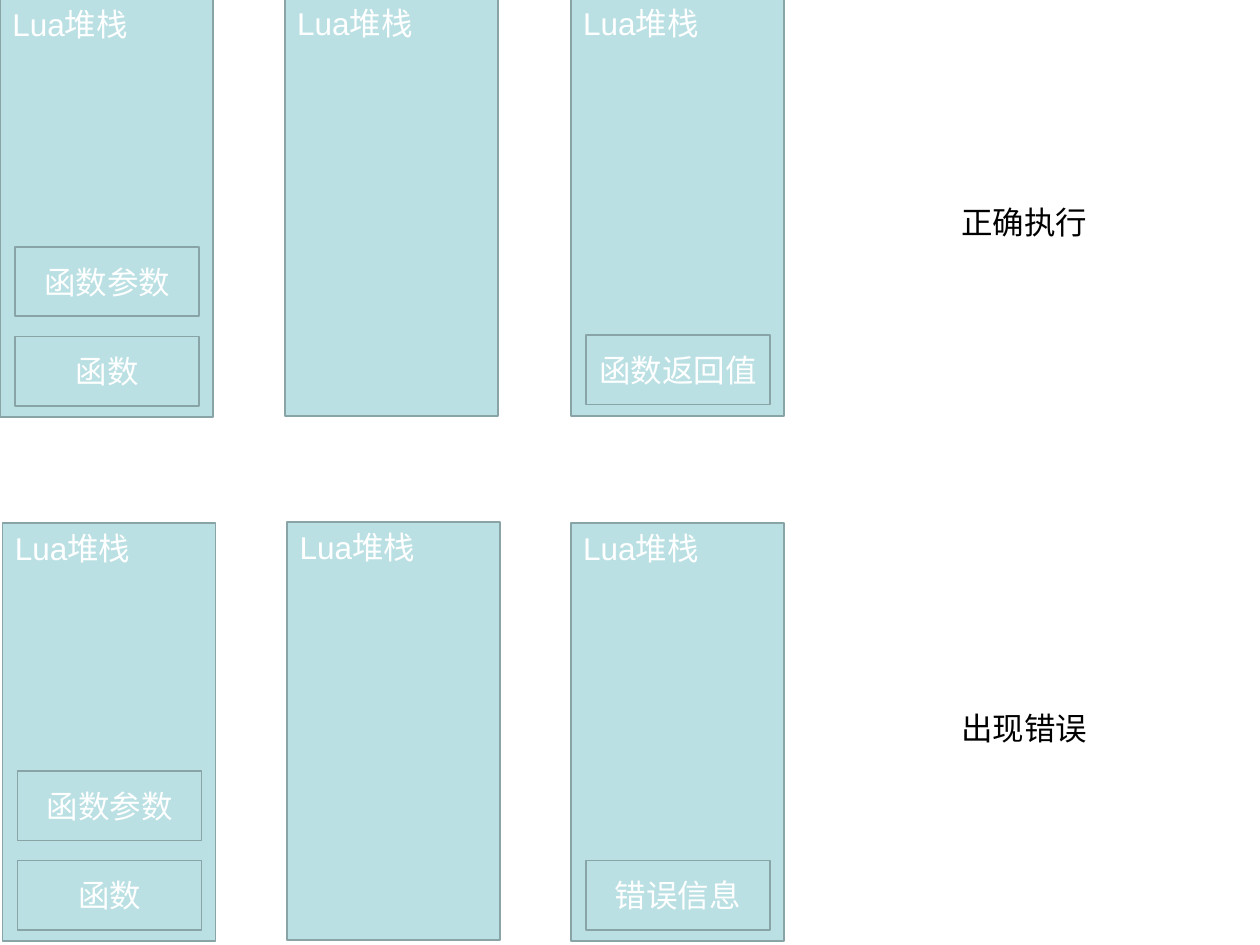
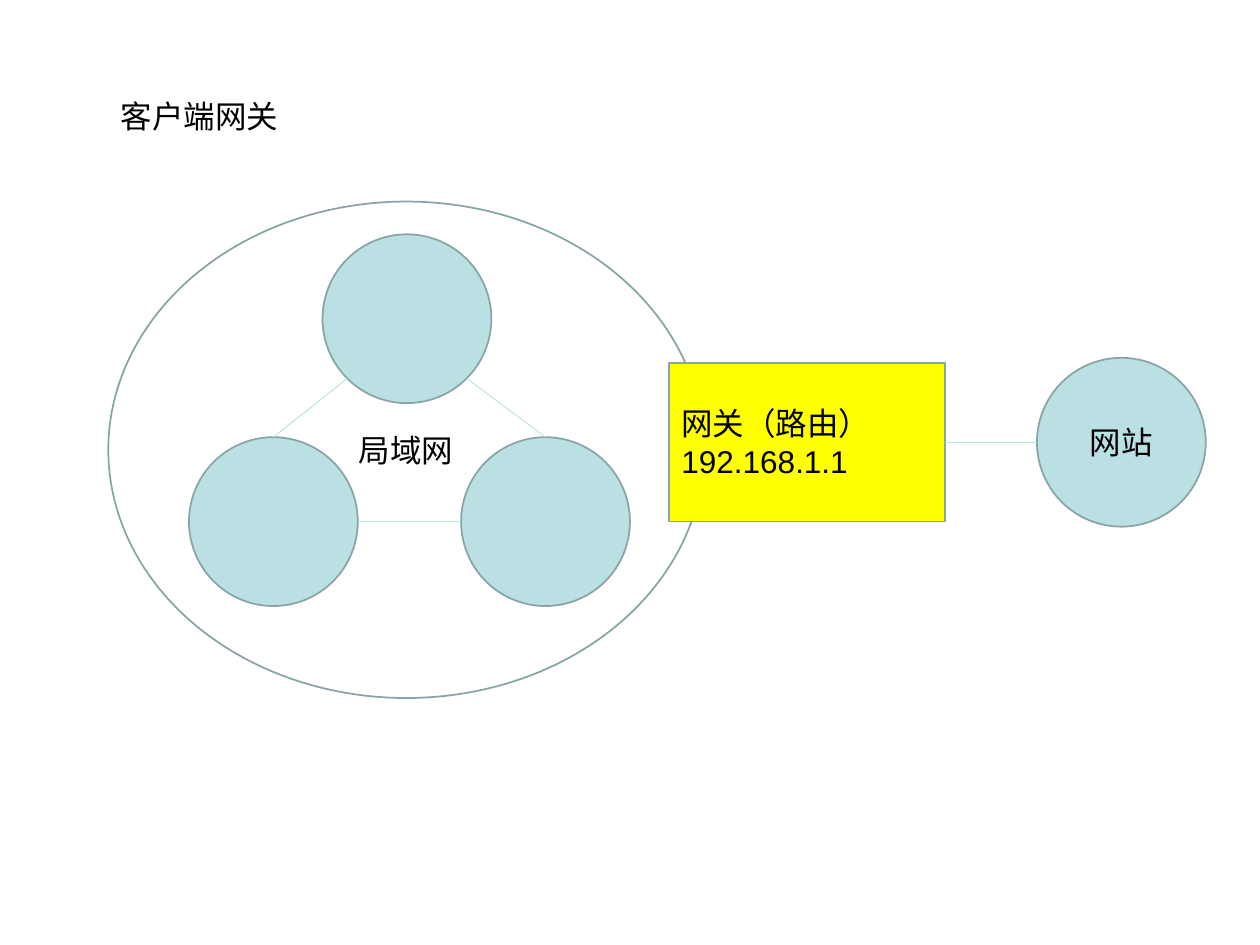
from pptx import Presentation
from pptx.dml.color import RGBColor
from pptx.enum.shapes import MSO_CONNECTOR, MSO_SHAPE
from pptx.enum.text import MSO_ANCHOR, MSO_AUTO_SIZE, PP_ALIGN
from pptx.oxml.ns import qn
from pptx.util import Inches, Pt
from lxml import etree

RECT, OVAL = MSO_SHAPE.RECTANGLE, MSO_SHAPE.OVAL
STRAIGHT = MSO_CONNECTOR.STRAIGHT
TOP, MIDDLE = MSO_ANCHOR.TOP, MSO_ANCHOR.MIDDLE
LEFT, CENTER = PP_ALIGN.LEFT, PP_ALIGN.CENTER
FIT_SHAPE = MSO_AUTO_SIZE.SHAPE_TO_FIT_TEXT
TOP_SITE, RIGHT_SITE = 0, 3

TEAL = RGBColor(0xBB, 0xE0, 0xE3)
OUTLINE = RGBColor(0x89, 0xA4, 0xA7)
YELLOW = RGBColor(0xFF, 0xFF, 0x00)
WHITE = RGBColor(0xFF, 0xFF, 0xFF)
BLACK = RGBColor(0x00, 0x00, 0x00)

FONT, FONT_SIZE = "Arial", Pt(18)

STACK_W, STACK_H = 1.69, 3.32
SLOT_W, SLOT_H = 1.46, 0.55
SLOT_INSET, SLOT_TOP, SLOT_PITCH = 0.12, 2.68, 0.71
NODE = 1.34  # diameter of a network node


def write(frame, lines, color, align=LEFT):
    for index, line in enumerate(lines):
        paragraph = frame.add_paragraph() if index else frame.paragraphs[0]
        paragraph.alignment = align
        run = paragraph.add_run()
        run.text = line
        run.font.name = FONT
        run.font.size = FONT_SIZE
        run.font.color.rgb = color


def add_block(slide, kind, box, fill=TEAL, lines=(), color=WHITE,
              align=CENTER, anchor=MIDDLE):
    block = slide.shapes.add_shape(kind, *(Inches(v) for v in box))
    block.shadow.inherit = False
    if fill is None:
        block.fill.background()
    else:
        block.fill.solid()
        block.fill.fore_color.rgb = fill
    block.line.color.rgb = OUTLINE
    block.line.width = Pt(1)
    block.text_frame.vertical_anchor = anchor
    write(block.text_frame, lines, color, align)
    return block


def add_label(slide, left, top, width, text):
    label = slide.shapes.add_textbox(
        Inches(left), Inches(top), Inches(width), Inches(0.4))
    label.text_frame.word_wrap = False
    label.text_frame.auto_size = FIT_SHAPE
    write(label.text_frame, [text], BLACK)


def add_link(slide, start, end):
    link = slide.shapes.add_connector(
        STRAIGHT, *(Inches(v) for v in (*start, *end)))
    link.line.color.rgb = TEAL
    link.line.width = Pt(0.5)
    etree.SubElement(link._element.spPr, qn("a:effectLst"))
    return link


def add_stack(slide, left, top, entries):
    """Draw one Lua stack; entries are listed from the bottom up."""
    add_block(slide, RECT, (left, top, STACK_W, STACK_H),
              lines=["Lua堆栈"], align=LEFT, anchor=TOP)
    for level, entry in enumerate(entries):
        slot_top = top + SLOT_TOP - level * SLOT_PITCH
        add_block(slide, RECT,
                  (left + SLOT_INSET, slot_top, SLOT_W, SLOT_H),
                  lines=[entry])


def build_stack_slide(slide):
    call = ["函数", "函数参数"]
    # Each outcome: stack corners (before, during, after), result, caption
    outcomes = [
        ([(0, -0.01), (2.26, -0.02), (4.53, -0.02)],
         "函数返回值", 1.56, "正确执行"),
        ([(0.02, 4.15), (2.28, 4.14), (4.53, 4.15)],
         "错误信息", 5.58, "出现错误"),
    ]
    for corners, result, caption_top, caption in outcomes:
        for (left, top), entries in zip(corners, (call, [], [result])):
            add_stack(slide, left, top, entries)
        add_label(slide, 7.53, caption_top, 1.2, caption)


def add_lan(slide, left, top):
    """Draw the local network: three linked nodes inside a ring."""
    upper, right, lower = [
        (left + dx, top + dy)
        for dx, dy in ((1.7, 0.26), (2.8, 1.87), (0.64, 1.87))]
    upper_node, right_node, left_node = [
        add_block(slide, OVAL, (*corner, NODE, NODE))
        for corner in (upper, right, lower)]
    add_block(slide, OVAL, (left, top, 4.73, 3.94), fill=None)
    add_label(slide, left + 1.89, top + 1.77, 0.95, "局域网")

    # Links leave the upper node on its lower diagonals
    radius = NODE / 2
    diagonal = radius * 0.5 ** 0.5
    center_x, center_y = upper[0] + radius, upper[1] + radius
    for side, node, corner in ((-1, left_node, lower), (1, right_node, right)):
        link = add_link(slide,
                        (center_x + side * diagonal, center_y + diagonal),
                        (corner[0] + radius, corner[1]))
        link.end_connect(node, TOP_SITE)
    add_link(slide, (lower[0] + NODE, lower[1] + radius),
             (right[0], right[1] + radius))


def add_uplink(slide, left, top):
    """Draw the gateway and the outside server it reaches."""
    width, height = 2.19, 1.26
    middle = top + height / 2
    server_left = left + 2.92
    gateway = add_block(slide, RECT, (left, top, width, height), YELLOW,
                        ["网关（路由）", "192.168.1.1"], BLACK, LEFT)
    add_block(slide, OVAL, (server_left, middle - NODE / 2, NODE, NODE),
              lines=["网站"], color=BLACK)
    link = add_link(slide, (left + width, middle), (server_left, middle))
    link.begin_connect(gateway, RIGHT_SITE)


def build_gateway_slide(slide):
    add_lan(slide, 0.86, 1.6)
    add_uplink(slide, 5.31, 2.88)
    add_label(slide, 0.86, 0.72, 1.45, "客户端网关")


def main():
    deck = Presentation()
    deck.slide_width, deck.slide_height = Inches(10), Inches(7.5)
    blank = deck.slide_layouts[6]
    for build in (build_stack_slide, build_gateway_slide):
        build(deck.slides.add_slide(blank))
    deck.save("out.pptx")


if __name__ == "__main__":
    main()
